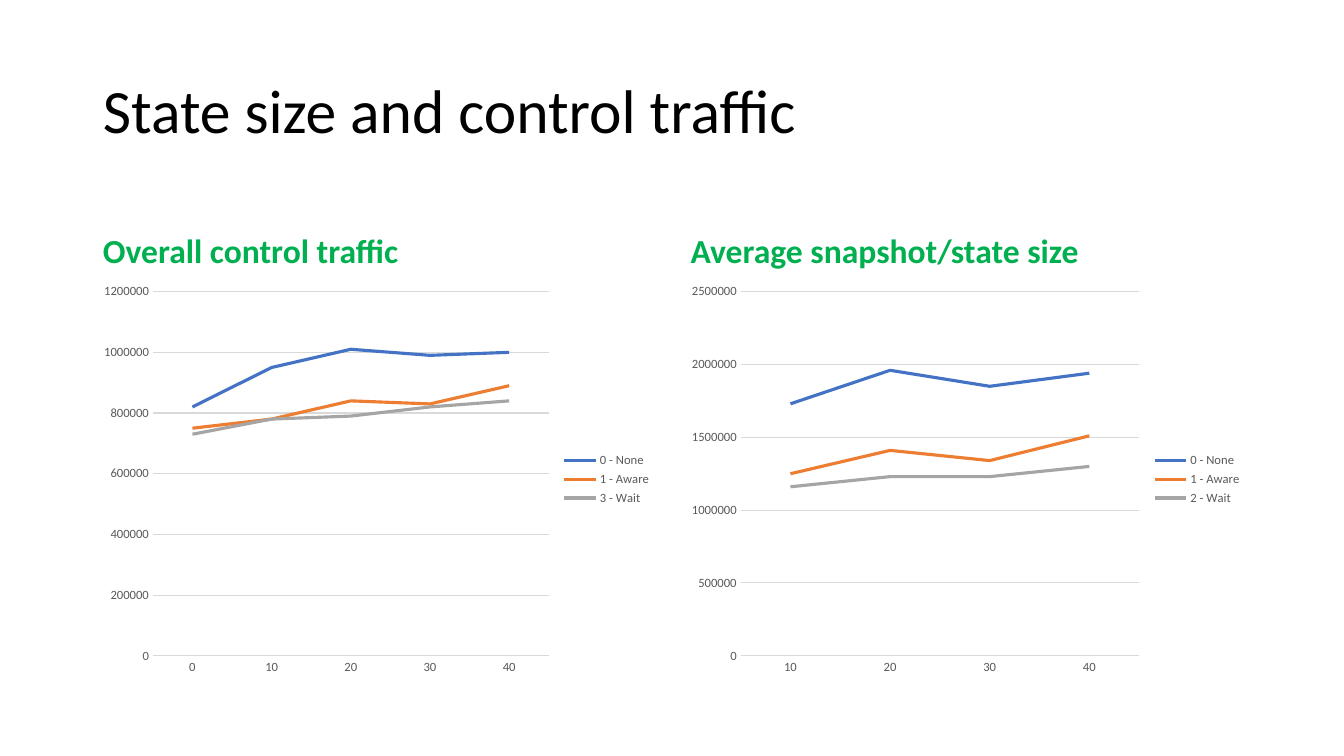
from dataclasses import dataclass

from pptx import Presentation
from pptx import util as u
from pptx.chart import data as cd
from pptx.dml import color as co
from pptx.enum import chart as ch
from pptx.enum import text as tx


@dataclass(frozen=True)
class Theme:
    font: str = "Calibri"
    black: str = "000000"
    green: str = "00B050"
    grey: str = "595959"
    rule: str = "D9D9D9"
    lines: tuple[str, ...] = ("4472C4", "ED7D31", "A5A5A5")
    title: float = 44
    head: float = 24
    label: float = 9
    stroke: float = 2.25
    thin: float = 0.75


@dataclass(frozen=True)
class Panel:
    head: str
    slot: int
    left: float
    width: float
    top: int
    step: int
    cats: tuple[str, ...]
    rows: dict[str, tuple[int, ...]]  # values in ten thousands


THEME = Theme()
UNIT = 10_000
HEAD_TOP, HEAD_HIGH = 4.67, 2.29
PLOT_TOP, PLOT_HIGH = 6.96, 10.24

PANELS = (
    Panel("Overall control traffic", 1, 2.34, 14.33, 1_200_000, 200_000,
          ("0", "10", "20", "30", "40"),
          {"0 - None": (82, 95, 101, 99, 100),
           "1 - Aware": (75, 78, 84, 83, 89),
           "3 - Wait": (73, 78, 79, 82, 84)}),
    Panel("Average snapshot/state size", 3, 17.15, 14.4, 2_500_000, 500_000,
          ("10", "20", "30", "40"),
          {"0 - None": (173, 196, 185, 194),
           "1 - Aware": (125, 141, 134, 151),
           "2 - Wait": (116, 123, 123, 130)}),
)


def style(font, size: float, tint: str, bold: bool = False) -> None:
    font.name = THEME.font
    font.size = u.Pt(size)
    font.bold = bold
    font.color.rgb = co.RGBColor.from_string(tint)


def stroke(line, tint: str, width: float) -> None:
    line.color.rgb = co.RGBColor.from_string(tint)
    line.width = u.Pt(width)


def write(shape, box: tuple[float, ...], words: str, size: float, tint: str,
          anchor, bold: bool = False, gap: float = 0) -> None:
    """Move a placeholder and fill it with one styled run."""
    shape.left, shape.top, shape.width, shape.height = map(u.Cm, box)
    frame = shape.text_frame
    frame.word_wrap = True
    frame.auto_size = tx.MSO_AUTO_SIZE.NONE
    frame.vertical_anchor = anchor
    para = frame.paragraphs[0]
    para.alignment = tx.PP_ALIGN.LEFT
    para.line_spacing = 0.9
    para.space_before = u.Pt(gap)
    run = para.add_run()
    run.text = words
    style(run.font, size, tint, bold)


def plot(slide, panel: Panel) -> None:
    """Add the line chart of one panel."""
    data = cd.CategoryChartData()
    data.categories = panel.cats
    for name, vals in panel.rows.items():
        data.add_series(name, [val * UNIT for val in vals])
    box = map(u.Cm, (panel.left, PLOT_TOP, panel.width, PLOT_HIGH))
    chart = slide.shapes.add_chart(ch.XL_CHART_TYPE.LINE, *box, data).chart
    style(chart.font, THEME.label, THEME.grey)
    chart.has_title = False
    chart.plots[0].vary_by_categories = False

    # Legend
    chart.has_legend = True
    chart.legend.position = ch.XL_LEGEND_POSITION.RIGHT
    chart.legend.include_in_layout = False
    style(chart.legend.font, THEME.label, THEME.grey)

    # Axes
    for axis in (chart.category_axis, chart.value_axis):
        axis.major_tick_mark = axis.minor_tick_mark = ch.XL_TICK_MARK.NONE
        style(axis.tick_labels.font, THEME.label, THEME.grey)
    stroke(chart.category_axis.format.line, THEME.rule, THEME.thin)
    scale = chart.value_axis
    scale.minimum_scale, scale.maximum_scale = 0, panel.top
    scale.major_unit = panel.step
    scale.format.line.fill.background()
    stroke(scale.major_gridlines.format.line, THEME.rule, THEME.thin)

    # Series
    for row, tint in zip(chart.plots[0].series, THEME.lines):
        row.smooth = False
        stroke(row.format.line, tint, THEME.stroke)


def main() -> None:
    deck = Presentation()
    deck.slide_width, deck.slide_height = u.Cm(33.87), u.Cm(19.05)
    slide = deck.slides.add_slide(deck.slide_layouts.get_by_name("Comparison"))
    slots = {slot.placeholder_format.idx: slot for slot in slide.placeholders}

    # Title
    write(slots[0], (2.34, 1.02, 29.21, 3.68), "State size and control traffic",
          THEME.title, THEME.black, tx.MSO_ANCHOR.MIDDLE)

    # Headings with their charts
    for panel in PANELS:
        write(slots[panel.slot], (panel.left, HEAD_TOP, panel.width, HEAD_HIGH),
              panel.head, THEME.head, THEME.green, tx.MSO_ANCHOR.BOTTOM, True, 10)
        spare = slots[panel.slot + 1].element
        spare.getparent().remove(spare)
        plot(slide, panel)

    deck.save("out.pptx")


main()
